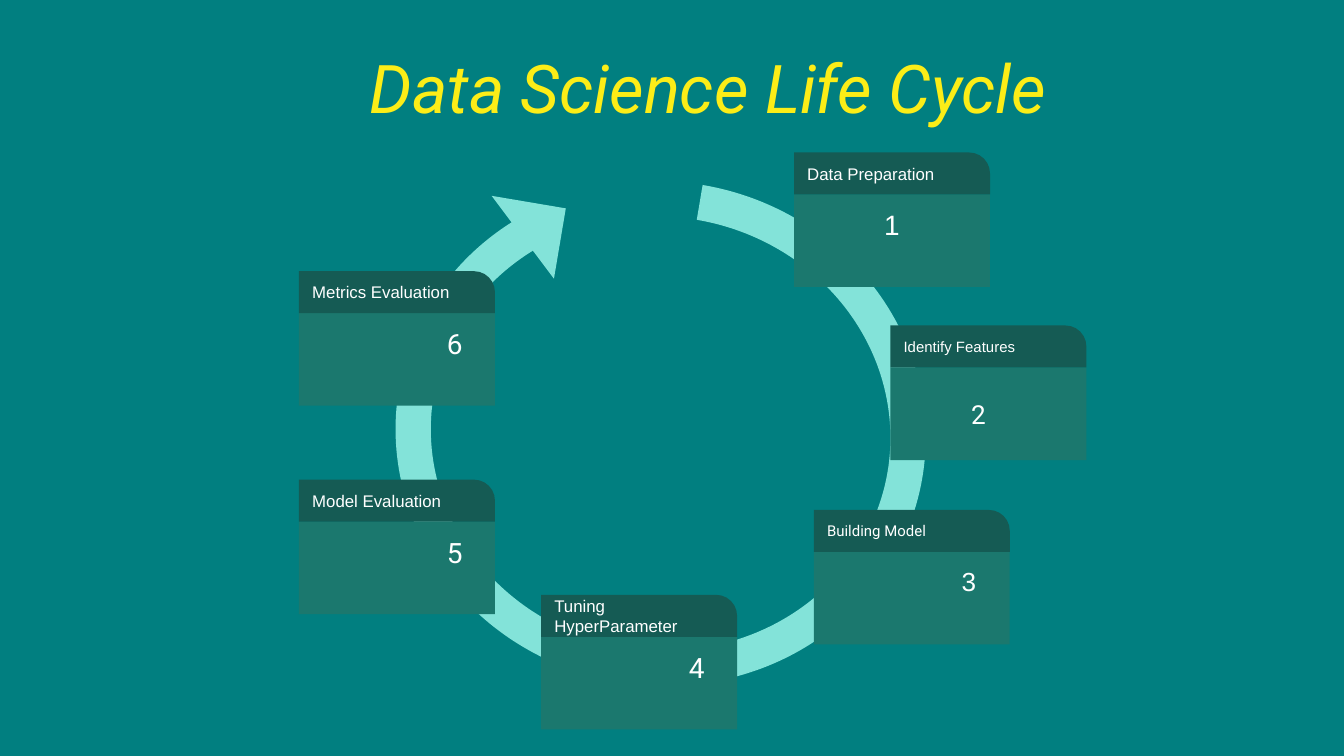
"""Build the Data Science Life Cycle slide: six cards around a cycle arrow."""
from pptx import Presentation
from pptx.dml.color import RGBColor as RGB
from pptx.enum.shapes import MSO_SHAPE as Shape
from pptx.enum.text import MSO_ANCHOR as Anchor, PP_ALIGN as Align
from pptx.util import Pt

THEME = {
    "back": "017F80", "arc": "83E3D9", "head": "155B54", "body": "1B786E",
    "title": "FCED17", "text": "FFFFFF",
    "sans": "Arial", "main": "Roboto",
    "big": 36, "num": 15, "mid": 14, "label": 9, "small": 8,
}
TITLE = "Data Science Life Cycle"
CARDS = [
    {"name": "Data Preparation", "at": (425.4, 81.7), "align": Align.CENTER,
     "face": "sans"},
    {"name": "Identify Features", "at": (477, 174.4), "left": 43.2, "top": 16.6,
     "size": "mid", "label": "small"},
    {"name": "Building Model", "at": (436, 273.2), "left": 79.2, "face": "sans",
     "size": "mid", "label": "small", "font": "main"},
    {"name": "Tuning HyperParameter", "at": (289.9, 318.7), "left": 79.2},
    {"name": "Model Evaluation", "at": (160.2, 257), "left": 79.2},
    {"name": "Metrics Evaluation", "at": (160.2, 145.3), "left": 79.2},
]
WIDE, HEAD, BODY, PAD, TURN = 105, 22.5, 49.6, 7.2, 189.6


def paint(fill, name):
    fill.solid()
    fill.fore_color.rgb = RGB.from_string(THEME[name])


def draw(slide, kind, box, color, turn=0, adj=()):
    shape = slide.shapes.add_shape(kind, *map(Pt, box))
    shape.shadow.inherit = False
    paint(shape.fill, color)
    shape.line.fill.background()
    shape.rotation = turn
    for i, value in enumerate(adj):
        shape.adjustments[i] = value
    return shape


def write(shape, text, size="num", face="main", color="text", align=Align.LEFT,
          anchor=Anchor.TOP, left=PAD, top=PAD, slant=False, lead=None):
    frame = shape.text_frame
    frame.word_wrap = True
    frame.vertical_anchor = anchor
    frame.margin_left, frame.margin_top = Pt(left), Pt(top)
    frame.margin_right = frame.margin_bottom = Pt(PAD)
    para = frame.paragraphs[0]
    para.alignment, para.line_spacing = align, lead
    run = para.add_run()
    run.text = text
    font = run.font
    font.name, font.size, font.italic = THEME[face], Pt(THEME[size]), slant
    font.color.rgb = RGB.from_string(THEME[color])


def card(slide, num, item):
    x, y = item["at"]
    body = draw(slide, Shape.RECTANGLE, (x, y + HEAD, WIDE, BODY), "body")
    keys = ("align", "face", "left", "top", "size")
    write(body, str(num), **{k: item[k] for k in keys if k in item})
    head = draw(slide, Shape.ROUND_1_RECTANGLE, (x, y, WIDE, HEAD), "head",
                adj=(0.5,))
    write(head, item["name"], size=item.get("label", "label"),
          face=item.get("font", "sans"), anchor=Anchor.MIDDLE)


def main():
    deck = Presentation()
    deck.slide_width, deck.slide_height = Pt(720), Pt(405)
    slide = deck.slides.add_slide(deck.slide_layouts[6])
    paint(slide.background.fill, "back")
    title = slide.shapes.add_textbox(Pt(108.7), Pt(22.3), Pt(541.4), Pt(53.3))
    write(title, TITLE, size="big", color="title", align=Align.CENTER,
          slant=True, lead=0.9)
    draw(slide, Shape.BLOCK_ARC, (211.7, 97.2, 284.4, 270), "arc", TURN,
         (54, 30.13, 0.07))
    draw(slide, Shape.RIGHT_TRIANGLE, (259.9, 108, 40.3, 38.2), "arc", TURN)
    for num, item in enumerate(CARDS, 1):
        card(slide, num, item)
    deck.save("out.pptx")


if __name__ == "__main__":
    main()
